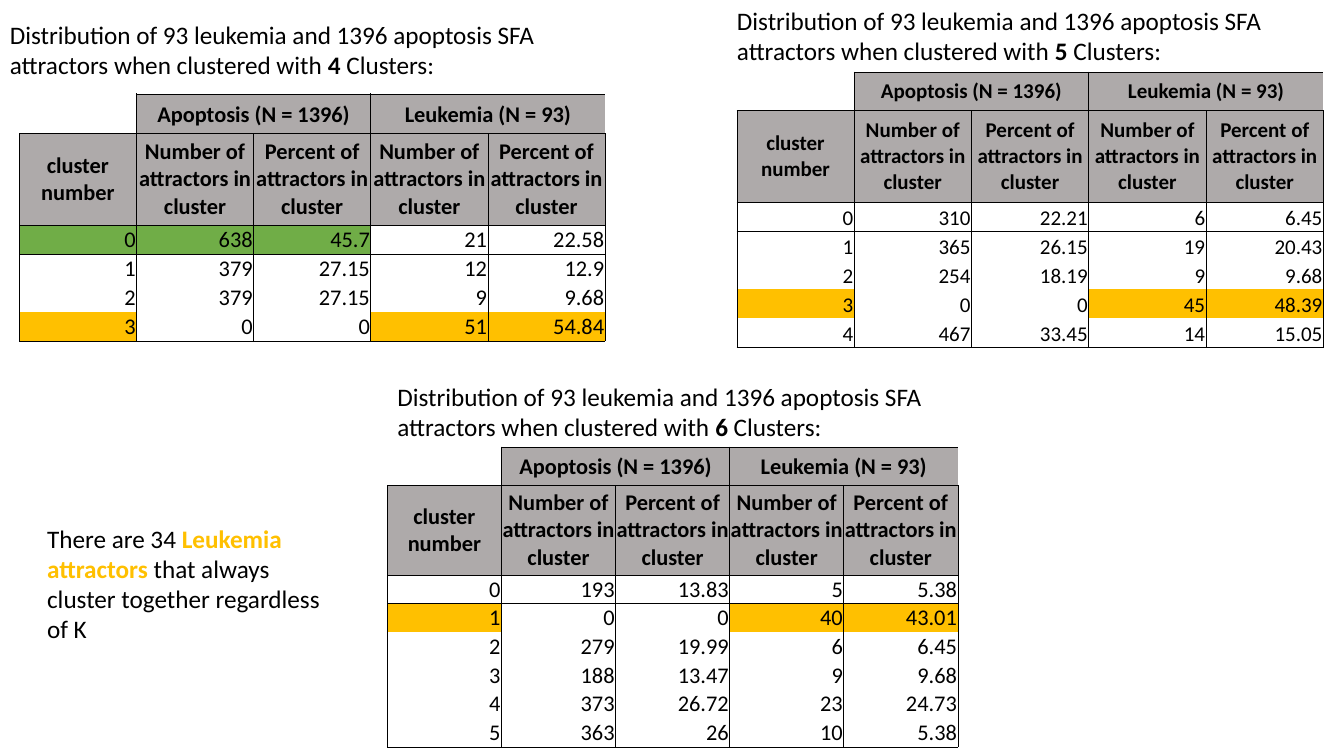
from dataclasses import dataclass
from typing import NamedTuple

from lxml import etree
from pptx import Presentation
from pptx.dml.color import RGBColor
from pptx.enum import text as t
from pptx.oxml import ns
from pptx.util import Pt


@dataclass(frozen=True)
class Theme:
    font: str = "Calibri"
    ink: str = "000000"
    header: str = "AEAAAA"
    apoptosis: str = "70AD47"
    leukemia: str = "FFC000"
    prose_size: float = 18
    border: float = 0.5
    cell_margin: float = 0.7
    plain_table: str = "{2D5ABB26-0587-4C30-8999-92F81FD0307C}"


THEME = Theme()

GROUPS = {1: "Apoptosis (N = 1396)", 3: "Leukemia (N = 93)"}
COLUMN_HEADS = ("cluster number",) + (
    "Number of attractors in cluster",
    "Percent of attractors in cluster",
) * 2
APOPTOSIS_COLUMNS = (0, 1, 2)
LEUKEMIA_COLUMNS = (0, 3, 4)


class Span(NamedTuple):
    text: str
    bold: bool = False
    color: str = THEME.ink


@dataclass(frozen=True)
class Clustering:
    """Cluster counts and shares for one K, with the clusters to highlight."""
    title_at: tuple[float, float]
    table_at: tuple[float, float]
    column_width: float
    group_height: float
    head_height: float
    row_height: float
    size: float
    group_margins: tuple[float, float]
    rows: tuple[tuple[str, str, str, str], ...]
    leukemia_cluster: int
    apoptosis_cluster: int | None = None

    def color_of(self, cluster: int, column: int) -> str | None:
        if cluster == self.leukemia_cluster and column in LEUKEMIA_COLUMNS:
            return THEME.leukemia
        if cluster == self.apoptosis_cluster and column in APOPTOSIS_COLUMNS:
            return THEME.apoptosis
        return None


CLUSTERINGS = (
    Clustering(
        (0, 10), (13.8, 67), 83.7, 28.4, 65.4, 20.7, 16, (6.7, 3.4),
        (("638", "45.7", "21", "22.58"),
         ("379", "27.15", "12", "12.9"),
         ("379", "27.15", "9", "9.68"),
         ("0", "0", "51", "54.84")),
        leukemia_cluster=3, apoptosis_cluster=0,
    ),
    Clustering(
        (276.7, 268.5), (276.7, 319.3), 81.5, 27.4, 64, 20.5, 16, (7, 3.5),
        (("193", "13.83", "5", "5.38"),
         ("0", "0", "40", "43.01"),
         ("279", "19.99", "6", "6.45"),
         ("188", "13.47", "9", "9.68"),
         ("373", "26.72", "23", "24.73"),
         ("363", "26", "10", "5.38")),
        leukemia_cluster=1,
    ),
    Clustering(
        (519.3, 0), (526.3, 51.3), 83.8, 27.5, 65.8, 20.7, 15, (9.2, 4.4),
        (("310", "22.21", "6", "6.45"),
         ("365", "26.15", "19", "20.43"),
         ("254", "18.19", "9", "9.68"),
         ("0", "0", "45", "48.39"),
         ("467", "33.45", "14", "15.05")),
        leukemia_cluster=3,
    ),
)


def style(run, size: float, bold: bool, color: str = THEME.ink) -> None:
    run.font.name = THEME.font
    run.font.size = Pt(size)
    run.font.bold = bold
    run.font.color.rgb = RGBColor.from_string(color)


def add_prose(slide, left: float, top: float, width: float, height: float,
              spans: tuple[Span, ...]) -> None:
    frame = slide.shapes.add_textbox(
        Pt(left), Pt(top), Pt(width), Pt(height)).text_frame
    frame.word_wrap = True
    frame.auto_size = t.MSO_AUTO_SIZE.SHAPE_TO_FIT_TEXT
    for span in spans:
        run = frame.paragraphs[0].add_run()
        run.text = span.text
        style(run, THEME.prose_size, span.bold, span.color)


def draw_borders(cell, row: int, column: int, last_row: int) -> None:
    """Rule off the column groups, the two header rows and the table's foot."""
    corner = row == column == 0
    sides = {
        "L": column in (0, 1, 3) and not corner,
        "R": column in (0, 2, 4),
        "T": row <= 2 and not corner,
        "B": row in (0, 1, last_row),
    }
    properties = cell._tc.get_or_add_tcPr()
    for side, ruled in sides.items():
        if ruled:
            line = etree.SubElement(properties, ns.qn(f"a:ln{side}"),
                                    w=str(Pt(THEME.border)))
            fill = etree.SubElement(line, ns.qn("a:solidFill"))
            etree.SubElement(fill, ns.qn("a:srgbClr"), val=THEME.ink)


def fill_cell(cell, label: str, size: float, bold: bool, align, anchor,
              color: str | None, margins: tuple[float, float]) -> None:
    cell.margin_left = cell.margin_right = Pt(margins[0])
    cell.margin_top = cell.margin_bottom = Pt(margins[1])
    cell.vertical_anchor = anchor
    if color:
        cell.fill.solid()
        cell.fill.fore_color.rgb = RGBColor.from_string(color)
    else:
        cell.fill.background()
    paragraph = cell.text_frame.paragraphs[0]
    paragraph.text = label
    paragraph.alignment = align
    for run in paragraph.runs:
        style(run, size, bold)


def add_cluster_table(slide, data: Clustering) -> None:
    heights = [data.group_height, data.head_height]
    heights += [data.row_height] * len(data.rows)
    columns = len(COLUMN_HEADS)
    left, top = data.table_at
    table = slide.shapes.add_table(
        len(heights), columns, Pt(left), Pt(top),
        Pt(data.column_width * columns), Pt(sum(heights))).table
    table.first_row = table.horz_banding = False
    table._tbl.tblPr.find(ns.qn("a:tableStyleId")).text = THEME.plain_table
    for column in table.columns:
        column.width = Pt(data.column_width)
    for row, height in zip(table.rows, heights):
        row.height = Pt(height)

    tight = (THEME.cell_margin, THEME.cell_margin / 2)
    center, right = t.PP_ALIGN.CENTER, t.PP_ALIGN.RIGHT
    middle, bottom = t.MSO_ANCHOR.MIDDLE, t.MSO_ANCHOR.BOTTOM
    for row in range(len(heights)):
        for column in range(columns):
            draw_borders(table.cell(row, column), row, column, len(heights) - 1)

    fill_cell(table.cell(0, 0), "", data.size, True, center, bottom, None, tight)
    for column, group in GROUPS.items():
        table.cell(0, column).merge(table.cell(0, column + 1))
        fill_cell(table.cell(0, column), group, data.size, True, center, bottom,
                  THEME.header, data.group_margins)
    for column, head in enumerate(COLUMN_HEADS):
        fill_cell(table.cell(1, column), head, data.size, True, center, middle,
                  THEME.header, tight)
    for cluster, values in enumerate(data.rows):
        for column, value in enumerate((str(cluster), *values)):
            fill_cell(table.cell(cluster + 2, column), value, data.size, False,
                      right, bottom, data.color_of(cluster, column), tight)


def main() -> None:
    deck = Presentation()
    deck.slide_width, deck.slide_height = Pt(960), Pt(540)
    slide = deck.slides.add_slide(deck.slide_layouts[6])
    for data in CLUSTERINGS:
        add_cluster_table(slide, data)
    for data in CLUSTERINGS:
        add_prose(slide, *data.title_at, 432.7, 51, (
            Span("Distribution of 93 leukemia and 1396 apoptosis SFA "
                 "attractors when clustered with "),
            Span(str(len(data.rows)), bold=True),
            Span(" Clusters:")))
    add_prose(slide, 26.6, 370, 219, 94.3, (
        Span("There are 34 "),
        Span("Leukemia attractors ", True, THEME.leukemia),
        Span("that always cluster together regardless of K")))
    deck.save("out.pptx")


if __name__ == "__main__":
    main()
